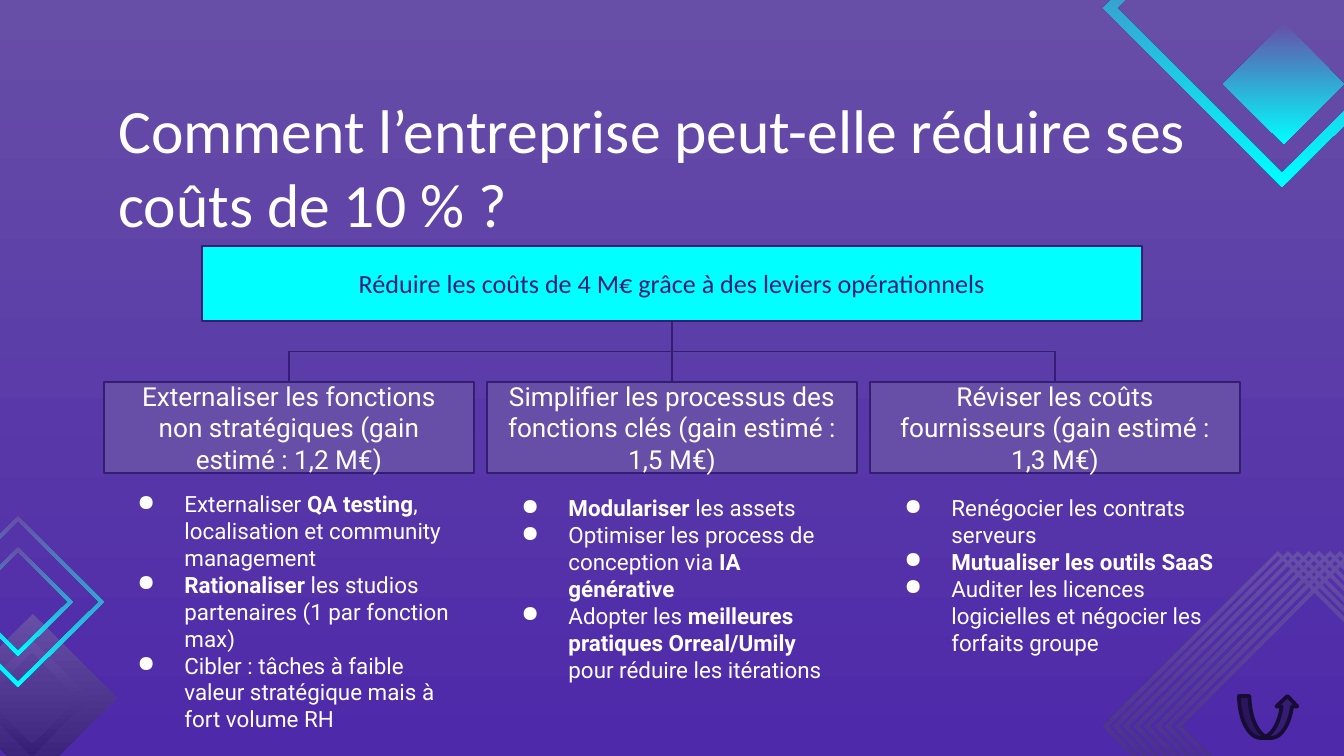
from dataclasses import dataclass

from lxml import etree
from pptx import Presentation
from pptx.dml.color import RGBColor
from pptx.enum import shapes, text
from pptx.oxml import ns
from pptx import util as u

SCALE = 9144000 / 1344  # EMU per px


@dataclass(frozen=True)
class Theme:
    violet: str = "674EA7"
    deep: str = "351C75"
    floor: str = "4E29AA"
    ink: str = "170C33"
    cyan: str = "00FFFF"
    white: str = "FFFFFF"
    heading_font: str = "Calibri"
    body_font: str = "Roboto"
    title_size: int = 33
    box_size: int = 14
    list_size: int = 12
    thin: float = 0.75
    thick: float = 2


THEME = Theme()

# Lever heading, then bullets as runs of (words, bold)
LEVERS = [
    ("Externaliser les fonctions non stratégiques (gain estimé : 1,2 M€)", [
        [("Externaliser ", False), ("QA testing", True),
         (", localisation et community management", False)],
        [("Rationaliser", True), (" les studios partenaires (1 par fonction max)", False)],
        [("Cibler : tâches à faible valeur stratégique mais à fort volume RH", False)],
    ]),
    ("Simplifier les processus des fonctions clés (gain estimé : 1,5 M€)", [
        [("Modulariser", True), (" les assets", False)],
        [("Optimiser les process de conception via ", False), ("IA générative", True)],
        [("Adopter les ", False), ("meilleures pratiques Orreal/Umily ", True),
         ("pour réduire les itérations", False)],
    ]),
    ("Réviser les coûts fournisseurs (gain estimé : 1,3 M€)", [
        [("Renégocier les contrats serveurs", False)],
        [("Mutualiser les outils SaaS", True)],
        [("Auditer les licences logicielles et négocier les forfaits groupe", False)],
    ]),
]


def px(length):
    return u.Emu(round(length * SCALE))


def rgb(value):
    return RGBColor.from_string(value)


def paint_gradient(fill, first, last, angle):
    fill.gradient()
    fill.gradient_angle = angle
    for stop, colour in zip(fill.gradient_stops, (first, last)):
        stop.color.rgb = rgb(colour)


def add_run(paragraph, words, font, size, colour, bold=False):
    run = paragraph.add_run()
    run.text = words
    run.font.name, run.font.size, run.font.bold = font, u.Pt(size), bold
    run.font.color.rgb = rgb(colour)


def prepare_frame(frame, anchor):
    frame.word_wrap = True
    frame.vertical_anchor = anchor
    frame.margin_left = frame.margin_right = u.Inches(0.1)
    frame.margin_top = frame.margin_bottom = u.Inches(0.1)
    return frame


def add_text_area(slide, box):
    area = slide.shapes.add_textbox(*map(px, box))
    return prepare_frame(area.text_frame, text.MSO_ANCHOR.TOP)


def add_filled(slide, kind, box, fill, line, width):
    shape = slide.shapes.add_shape(kind, *map(px, box))
    shape.shadow.inherit = False
    shape.fill.solid()
    shape.fill.fore_color.rgb = rgb(fill)
    shape.line.color.rgb = rgb(line)
    shape.line.width = u.Pt(width)
    return shape


def add_label_box(slide, box, words, fill, font, colour):
    shape = add_filled(slide, shapes.MSO_SHAPE.RECTANGLE, box, fill, THEME.deep, THEME.thin)
    frame = prepare_frame(shape.text_frame, text.MSO_ANCHOR.MIDDLE)
    paragraph = frame.paragraphs[0]
    paragraph.alignment = text.PP_ALIGN.CENTER
    add_run(paragraph, words, font, THEME.box_size, colour)
    return shape


def add_diamond(slide, left, top, size, end_colour, border=0):
    """Solid diamond, or a frame when a border is given."""
    half = size / 2
    cx, cy = left + half, top + half

    def corners(r):
        return [(cx, cy - r), (cx + r, cy), (cx, cy + r), (cx - r, cy)]

    outer = corners(half)
    builder = slide.shapes.build_freeform(*outer[0], scale=SCALE)
    builder.add_line_segments(outer[1:], close=True)
    if border:
        inner = corners(half - border)[::-1]
        builder.move_to(*inner[0])
        builder.add_line_segments(inner[1:], close=True)
    diamond = builder.convert_to_shape()
    diamond.shadow.inherit = False
    paint_gradient(diamond.fill, THEME.violet, end_colour, 270)
    diamond.line.fill.background()


def add_decor(slide):
    # Striped frames, bottom right
    for i in range(8):
        add_diamond(slide, 1103 + 73 * i // 7, 551, 350, THEME.deep, 5)
    # Dark diamonds and bright frames, left
    add_diamond(slide, -51, 614, 168, THEME.deep)
    add_diamond(slide, -27, 640, 117, THEME.deep, 12)
    add_diamond(slide, -67, 516, 171, THEME.cyan, 5)
    add_diamond(slide, -36, 547, 109, THEME.cyan, 5)
    # Bright diamond and frame, top right
    add_diamond(slide, 1223, 23, 121, THEME.cyan)
    add_diamond(slide, 1103, -172, 359, THEME.cyan, 14)


def add_title(slide, box):
    paragraph = add_text_area(slide, box).paragraphs[0]
    add_run(paragraph, "Comment l’entreprise peut-elle réduire ses coûts de 10 % ?",
            THEME.heading_font, THEME.title_size, THEME.white)


def add_bullet(paragraph):
    props = paragraph._p.get_or_add_pPr()
    props.set("marL", str(u.Inches(0.5)))
    props.set("indent", str(u.Inches(-0.35)))
    colour = etree.SubElement(props, ns.qn("a:buClr"))
    etree.SubElement(colour, ns.qn("a:srgbClr")).set("val", THEME.white)
    etree.SubElement(props, ns.qn("a:buChar")).set("char", "●")


def add_actions(slide, box, actions):
    frame = add_text_area(slide, box)
    for i, runs in enumerate(actions):
        paragraph = frame.add_paragraph() if i else frame.paragraphs[0]
        add_bullet(paragraph)
        for words, bold in runs:
            add_run(paragraph, words, THEME.body_font, THEME.list_size, THEME.white, bold)


def join(slide, goal, lever):
    """Branch from the goal's bottom middle to the lever's top middle."""
    x0, y0 = goal.left + goal.width // 2, goal.top + goal.height
    x1, y1 = lever.left + lever.width // 2, lever.top
    straight = abs(x1 - x0) < px(2)
    kind = shapes.MSO_CONNECTOR.STRAIGHT if straight else shapes.MSO_CONNECTOR.ELBOW
    branch = slide.shapes.add_connector(kind, x0, y0, x1, y1)
    branch.begin_connect(goal, 2)
    branch.end_connect(lever, 0)
    branch.line.color.rgb = rgb(THEME.deep)
    branch.line.width = u.Pt(THEME.thin)
    props = branch._element.spPr
    etree.SubElement(props, ns.qn("a:effectLst"))
    if not straight:  # turn the elbow so that it leaves downwards
        drop, run = y1 - y0, abs(x1 - x0)
        branch.left, branch.top = (x0 + x1 - drop) // 2, (y0 + y1 - run) // 2
        branch.width, branch.height = drop, run
        rightward = x1 > x0
        props.xfrm.rot = 270 if rightward else 90
        props.xfrm.flipH, props.xfrm.flipV = rightward, False


def add_lever_tree(slide, box):
    left, top, width, height = box
    gap = 13
    column = (width - gap * (len(LEVERS) - 1)) // len(LEVERS)
    goal = add_label_box(slide, (left + 98, top, width - 196, 75),
                         "Réduire les coûts de 4 M€ grâce à des leviers opérationnels",
                         THEME.cyan, THEME.heading_font, THEME.deep)
    for i, (heading, actions) in enumerate(LEVERS):
        x = left + i * (column + gap)
        lever = add_label_box(slide, (x, top + 136, column, 91), heading,
                              THEME.violet, THEME.body_font, THEME.white)
        list_top = top + (235 if i else 231)
        list_width = column + (21 if i == len(LEVERS) - 1 else 0)
        add_actions(slide, (x + min(i, 1), list_top, list_width, top + height - list_top), actions)
        join(slide, goal, lever)


def main():
    deck = Presentation()
    deck.slide_width, deck.slide_height = px(1344), px(756)
    slide = deck.slides.add_slide(deck.slide_layouts[6])
    paint_gradient(slide.background.fill, THEME.floor, THEME.violet, 90)
    add_decor(slide)
    add_title(slide, (105, 79, 1134, 85))
    add_lever_tree(slide, (104, 246, 1136, 431))
    # Return arrow
    add_filled(slide, shapes.MSO_SHAPE.CURVED_UP_ARROW, (1239, 696, 59, 42),
               THEME.deep, THEME.ink, THEME.thick)
    deck.save("out.pptx")


if __name__ == "__main__":
    main()
